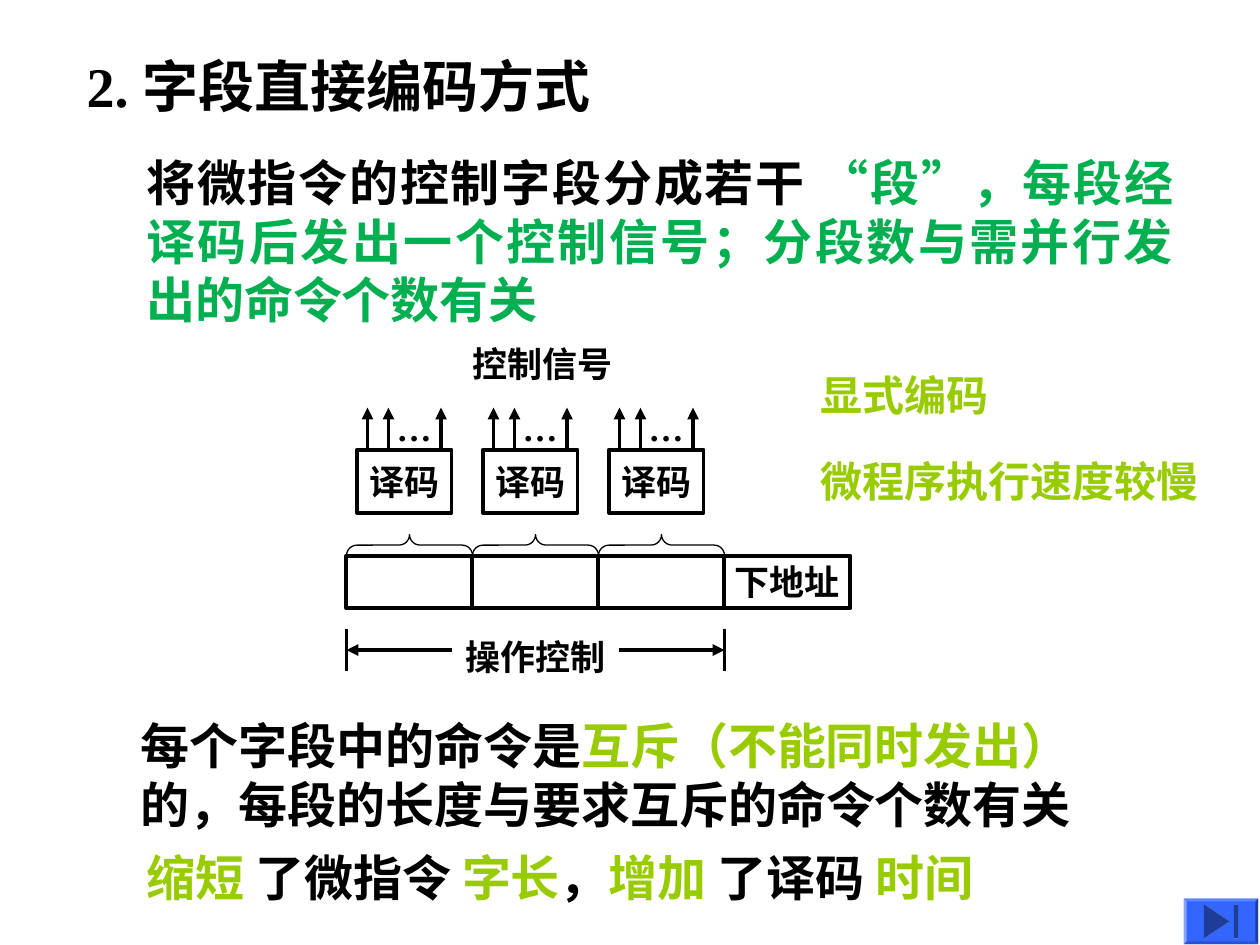
from lxml import etree
from pptx import Presentation
from pptx.dml.color import RGBColor
from pptx.enum.shapes import MSO_CONNECTOR, MSO_SHAPE
from pptx.enum.text import MSO_ANCHOR, MSO_AUTO_SIZE, PP_ALIGN
from pptx.oxml.ns import qn
from pptx.util import Pt

STRAIGHT = MSO_CONNECTOR.STRAIGHT
RECTANGLE = MSO_SHAPE.RECTANGLE
LEFT_BRACE = MSO_SHAPE.LEFT_BRACE
END_BUTTON = MSO_SHAPE.ACTION_BUTTON_END
CENTER, JUSTIFY, LEFT = PP_ALIGN.CENTER, PP_ALIGN.JUSTIFY, PP_ALIGN.LEFT
MIDDLE = MSO_ANCHOR.MIDDLE
GROW = MSO_AUTO_SIZE.SHAPE_TO_FIT_TEXT

COLORS = {"black": "000000", "green": "00B050", "lime": "99CC00", "blue": "3366FF",
          "top": "5C85FF", "right": "1F3D99", "bottom": "2952CC", "left": "85A3FF"}
SERIF, SANS, QUOTE = "Times New Roman", "DejaVu Sans", "Arial"

# Content: (left, top, width, height), size, wraps, alignment, spans
TEXTS = [
    ((42.5, 26, 623.5, 46), 32, True, LEFT,
     [("2. ", "black", SERIF), ("字段直接编码方式", "black", SANS)]),
    ((76.5, 83.5, 601, 108), 28, True, JUSTIFY,
     [("将微指令的控制字段分成若干 ", "black", SANS), ("“", "green", QUOTE),
      ("段", "green", SANS), ("”", "green", QUOTE),
      ("，每段经译码后发出一个控制信号；分段数与需并行发出的命令个数有关", "green", SANS)]),
    ((73.5, 405.5, 560, 75), 28, True, LEFT,
     [("每个字段中的命令是", "black", SANS), ("互斥（不能同时发出）", "lime", SANS),
      ("的，每段的长度与要求互斥的命令个数有关", "black", SANS)]),
    ((76.5, 481, 520, 41), 28, True, LEFT,
     [("缩短 ", "lime", SERIF), ("了微指令 ", "black", SERIF), ("字长", "lime", SERIF),
      ("，", "black", SERIF), ("增加 ", "lime", SERIF), ("了译码 ", "black", SERIF),
      ("时间", "lime", SERIF)]),
    ((462, 256.5, 230.5, 36), 24, False, LEFT, [("微程序执行速度较慢", "lime", SERIF)]),
    ((462, 207.5, 170, 36), 24, True, LEFT, [("显式编码", "lime", SERIF)]),
    ((263, 192, 94.5, 31.5), 20, False, LEFT, [("控制信号", "black", SERIF)]),
    ((259, 359.5, 94.5, 31.5), 20, False, LEFT, [("操作控制", "black", SERIF)]),
]
FIELDS = ["", "", "", "下地址"]
DECODED_FIELDS = 3
DECODER, DOTS = "译码", "…"

# Diagram geometry
FIELD_LEFT, FIELD_TOP, FIELD_WIDTH, FIELD_HEIGHT = 198, 317.5, 72, 30
DECODER_TOP, DECODER_WIDTH, DECODER_HEIGHT = 257, 54, 36
SIGNAL_TOP, SIGNAL_OFFSETS = 233, (12, 24, 54)
BRACE_HEIGHT = 12
SPAN_TOP, SPAN_HEIGHT = 359.5, 24
SPAN_GAP = (258.5, 353.5)
BUTTON, BEVEL = (676.5, 513.5, 42.5, 26), 1.6

deck = Presentation()
deck.slide_width, deck.slide_height = Pt(720), Pt(540)
page = deck.slides.add_slide(deck.slide_layouts[6])


def color(name):
    return RGBColor.from_string(COLORS[name])


def write(frame, spans, size, wraps, align):
    frame.word_wrap = wraps
    para = frame.paragraphs[0]
    para.alignment = align
    para.font.size, para.font.bold = Pt(size), True
    for text, tint, face in spans:
        span = para.add_run()
        span.text = text
        span.font.name = face
        span.font.color.rgb = color(tint)


def add_text(place, size, wraps, align, spans):
    box = page.shapes.add_textbox(*map(Pt, place))
    box.text_frame.auto_size = GROW
    write(box.text_frame, spans, size, wraps, align)


def add_outline(kind, place, weight=2.25, label=""):
    shape = page.shapes.add_shape(kind, *map(Pt, place))
    shape.shadow.inherit = False
    shape.fill.background()
    shape.line.color.rgb = color("black")
    shape.line.width = Pt(weight)
    if label:
        shape.text_frame.vertical_anchor = MIDDLE
        write(shape.text_frame, [(label, "black", SERIF)], 20, False, CENTER)
    return shape


def add_line(x1, y1, x2, y2, arrow=True):
    line = page.shapes.add_connector(STRAIGHT, Pt(x1), Pt(y1), Pt(x2), Pt(y2))
    line.line.color.rgb = color("black")
    line.line.width = Pt(2.25)
    if arrow:
        etree.SubElement(line.line._get_or_add_ln(), qn("a:tailEnd"), type="triangle")
    etree.SubElement(line._element.spPr, qn("a:effectLst"))


def paint(shape, tint):
    shape.shadow.inherit = False
    shape.fill.solid()
    shape.fill.fore_color.rgb = color(tint)
    shape.line.fill.background()


def corners(left, top, width, height, inset=0):
    right, bottom = left + width - inset, top + height - inset
    left, top = left + inset, top + inset
    return [(Pt(x), Pt(y)) for x, y in
            ((left, top), (right, top), (right, bottom), (left, bottom))]


# Instruction fields, with a decoder and its signals above each control field
for index, label in enumerate(FIELDS):
    left = FIELD_LEFT + index * FIELD_WIDTH
    add_outline(RECTANGLE, (left, FIELD_TOP, FIELD_WIDTH, FIELD_HEIGHT), label=label)
    if index >= DECODED_FIELDS:
        continue
    add_outline(RECTANGLE, (left + 6, DECODER_TOP, DECODER_WIDTH, DECODER_HEIGHT),
                label=DECODER)
    for offset in SIGNAL_OFFSETS:
        add_line(left + offset, DECODER_TOP, left + offset, SIGNAL_TOP)
    add_text((left + 21.5, 228.5, 34.5, 31.5), 20, False, LEFT, [(DOTS, "black", SERIF)])
    # The brace is upright before its quarter turn about the centre
    brace = add_outline(LEFT_BRACE, (
        left + (FIELD_WIDTH - BRACE_HEIGHT) / 2,
        FIELD_TOP - (FIELD_WIDTH + BRACE_HEIGHT) / 2,
        BRACE_HEIGHT, FIELD_WIDTH), weight=0.75)
    brace.adjustments[0] = 0.5
    brace.rotation = 90

# Span of the operation control part
span_right = FIELD_LEFT + DECODED_FIELDS * FIELD_WIDTH
for end, inner in zip((FIELD_LEFT, span_right), SPAN_GAP):
    add_line(end, SPAN_TOP, end, SPAN_TOP + SPAN_HEIGHT, arrow=False)
    middle = SPAN_TOP + SPAN_HEIGHT / 2
    add_line(inner, middle, end, middle)

# Headings, explanations and labels
for text in TEXTS:
    add_text(*text)

# End button with bevelled edges
paint(page.shapes.add_shape(END_BUTTON, *map(Pt, BUTTON)), "blue")
outer, inner = corners(*BUTTON), corners(*BUTTON, inset=BEVEL)
for index, side in enumerate(("top", "right", "bottom", "left")):
    following = (index + 1) % 4
    builder = page.shapes.build_freeform(*outer[index])
    builder.add_line_segments([outer[following], inner[following], inner[index]])
    paint(builder.convert_to_shape(), side)

deck.save("out.pptx")
